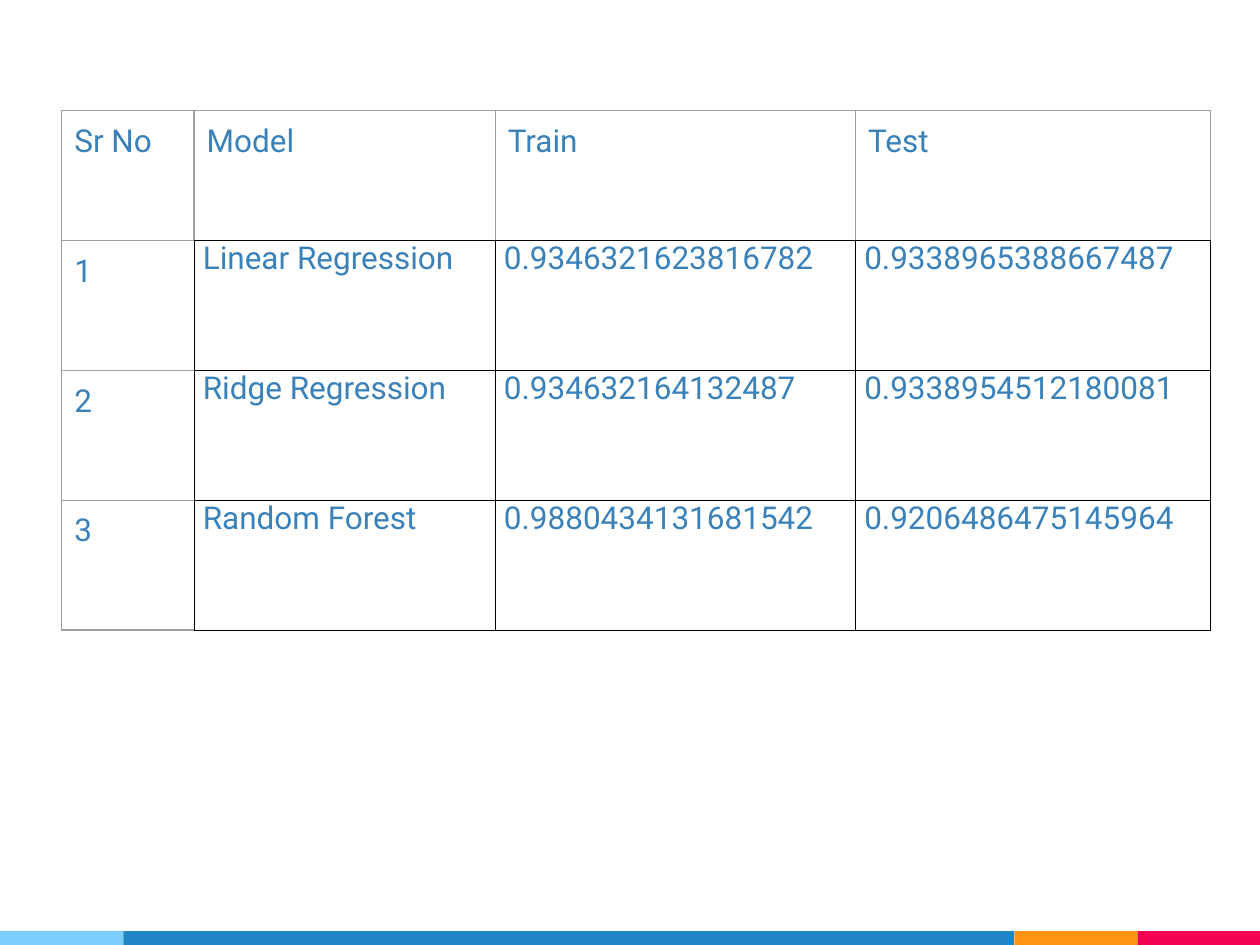
from lxml import etree
from pptx import Presentation
from pptx.dml.color import RGBColor
from pptx.enum.shapes import MSO_SHAPE
from pptx.oxml.ns import qn
from pptx.util import Inches, Pt

TEXT_BLUE = RGBColor(0x3A, 0x81, 0xBA)
LIGHT_BLUE = RGBColor(0x7E, 0xCE, 0xFD)
BLUE = RGBColor(0x21, 0x85, 0xC5)
ORANGE = RGBColor(0xFF, 0x97, 0x15)
RED = RGBColor(0xF2, 0x02, 0x53)
GREY = RGBColor(0x9E, 0x9E, 0x9E)
BLACK = RGBColor(0x00, 0x00, 0x00)

SCORES = [
    ["Sr No", "Model", "Train", "Test"],
    ["1", "Linear Regression", "0.9346321623816782", "0.9338965388667487"],
    ["2", "Ridge Regression", "0.934632164132487", "0.9338954512180081"],
    ["3", "Random Forest", "0.9880434131681542", "0.9206486475145964"],
]
COLUMN_WIDTHS = [1.05, 2.39, 2.86, 2.82]
ROW_HEIGHT = 1.03


def add_border(cell, side, is_black):
    color, width = (BLACK, Pt(0.5)) if is_black else (GREY, Pt(0.75))
    properties = cell._tc.get_or_add_tcPr()
    line = etree.SubElement(properties, qn(f"a:ln{side}"), w=str(width))
    fill = etree.SubElement(line, qn("a:solidFill"))
    etree.SubElement(fill, qn("a:srgbClr"), val=str(color))


presentation = Presentation()
presentation.slide_width = Inches(10)
presentation.slide_height = Inches(7.5)
slide = presentation.slides.add_slide(presentation.slide_layouts[6])

stripe_left = 0
for stripe_width, color in [(0.98, LIGHT_BLUE), (7.07, BLUE), (0.98, ORANGE), (0.97, RED)]:
    stripe = slide.shapes.add_shape(
        MSO_SHAPE.RECTANGLE, Inches(stripe_left), Inches(7.39), Inches(stripe_width), Inches(0.11)
    )
    stripe.shadow.inherit = False
    stripe.fill.solid()
    stripe.fill.fore_color.rgb = color
    stripe.line.fill.background()
    stripe_left += stripe_width

score_table = slide.shapes.add_table(
    len(SCORES), len(COLUMN_WIDTHS), Inches(0.49), Inches(0.88),
    Inches(sum(COLUMN_WIDTHS)), Inches(ROW_HEIGHT * len(SCORES)),
).table
score_table.first_row = False
score_table.horz_banding = False
for column, width in zip(score_table.columns, COLUMN_WIDTHS):
    column.width = Inches(width)

for row_index, row_values in enumerate(SCORES):
    score_table.rows[row_index].height = Inches(ROW_HEIGHT)
    for column_index, value in enumerate(row_values):
        cell = score_table.cell(row_index, column_index)
        in_body = row_index > 0
        is_result = in_body and column_index > 0
        cell.margin_left = cell.margin_right = Inches(0.07 if is_result else 0.1)
        cell.margin_top = cell.margin_bottom = Inches(0 if is_result else 0.1)
        add_border(cell, "L", is_result)
        add_border(cell, "R", in_body)
        add_border(cell, "T", is_result)
        add_border(cell, "B", column_index > 0)
        cell.fill.background()
        cell.text_frame.text = value
        font = cell.text_frame.paragraphs[0].runs[0].font
        font.name = "Roboto"
        font.size = Pt(18)
        font.color.rgb = TEXT_BLUE

presentation.save("out.pptx")
